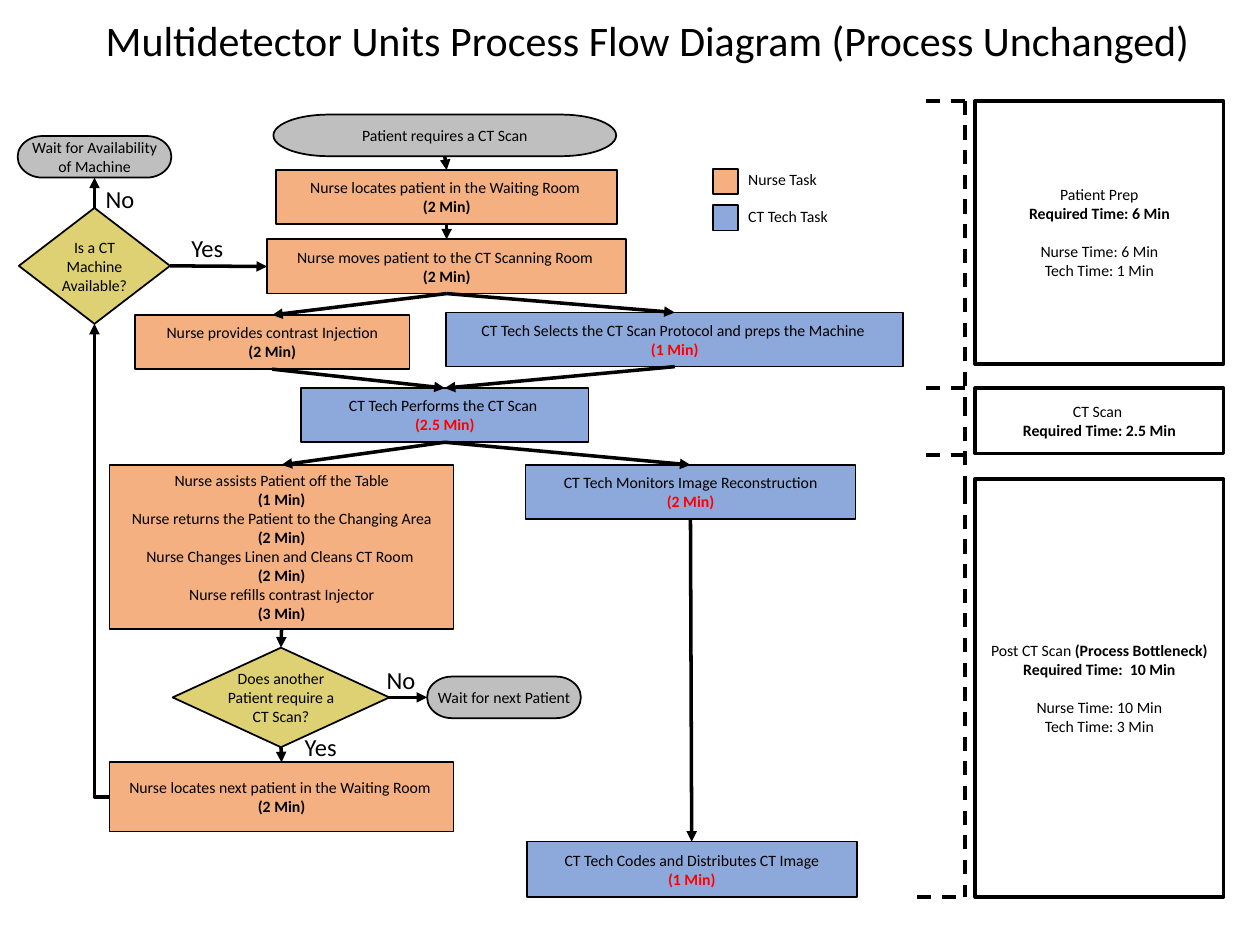
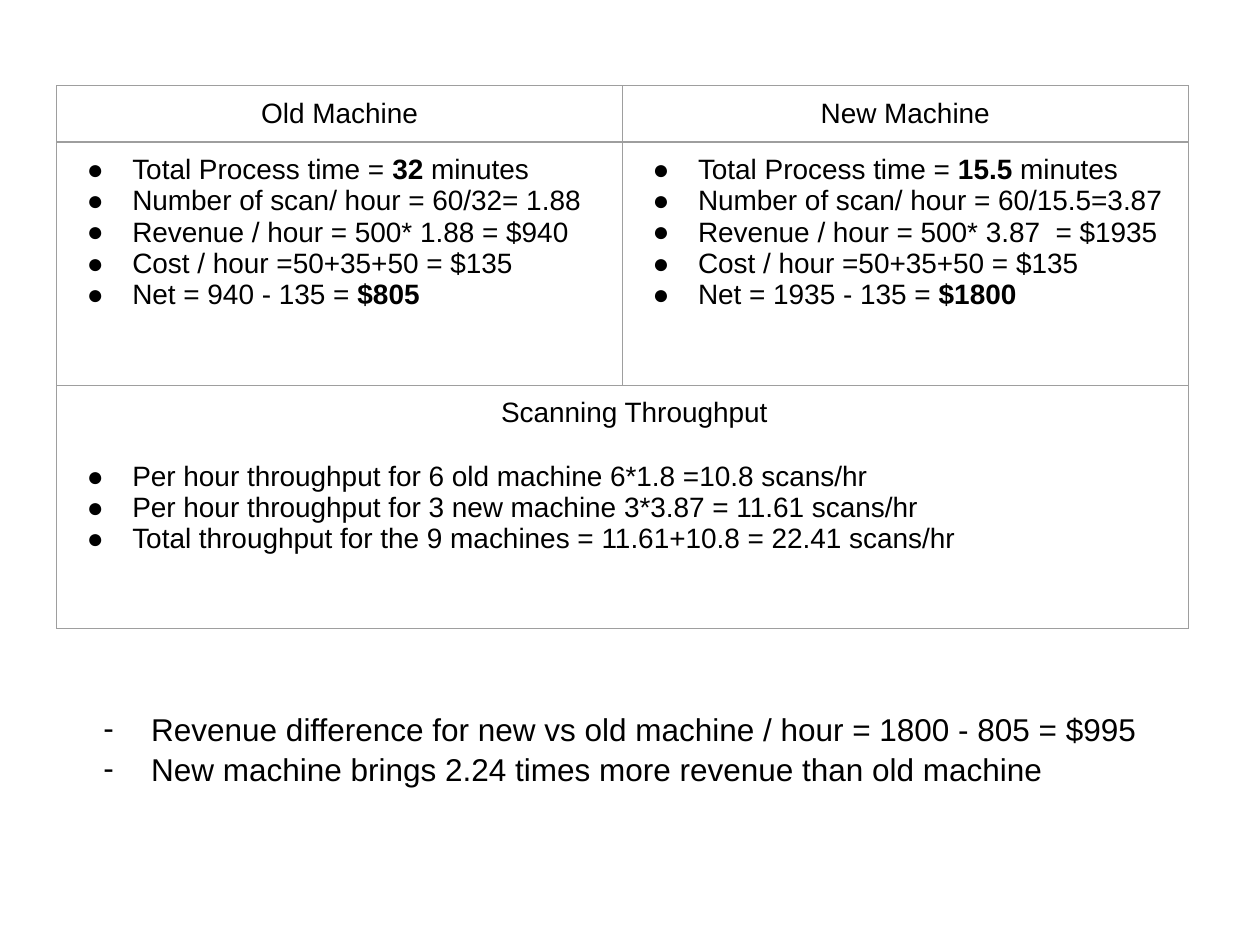
from lxml import etree
from pptx import Presentation
from pptx.dml.color import RGBColor
from pptx.enum.dml import MSO_LINE
from pptx.enum.shapes import MSO_CONNECTOR, MSO_SHAPE
from pptx.enum.text import MSO_ANCHOR, MSO_AUTO_SIZE, PP_ALIGN
from pptx.oxml.ns import qn
from pptx.util import Inches, Pt

RECT = MSO_SHAPE.RECTANGLE
DIAMOND = MSO_SHAPE.DIAMOND
TERMINATOR = MSO_SHAPE.FLOWCHART_TERMINATOR
STRAIGHT = MSO_CONNECTOR.STRAIGHT
ELBOW = MSO_CONNECTOR.ELBOW
DASH = MSO_LINE.DASH
MIDDLE = MSO_ANCHOR.MIDDLE
TOP_ANCHOR = MSO_ANCHOR.TOP
NO_AUTOFIT = MSO_AUTO_SIZE.NONE
LEFT_ALIGN = PP_ALIGN.LEFT
CENTER = PP_ALIGN.CENTER

TOP, LEFT, BOTTOM, RIGHT = range(4)
BLACK, RED, GRID = "000000", "FF0000", "9E9E9E"
NURSE, TECH, DECISION, WAIT = "F4B081", "8DA9DB", "DDD173", "BFBFBF"
FLOW_FONT, TABLE_FONT = "Calibri", "Arial"
STEP_SIZE, ANSWER_SIZE, TITLE_SIZE, CELL_SIZE, SUMMARY_SIZE = 9, 14, 24, 16, 18


def rgb(code):
    return RGBColor.from_string(code)


def inches(*lengths):
    return [Inches(length) for length in lengths]


def add_text(paragraph, text, size, font=FLOW_FONT, bold=False, color=BLACK):
    run = paragraph.add_run()
    run.text = text
    run.font.size = Pt(size)
    run.font.name = font
    run.font.bold = bold
    run.font.color.rgb = rgb(color)


def set_margins(owner, side, vertical):
    owner.margin_left = owner.margin_right = Inches(side)
    owner.margin_top = owner.margin_bottom = Inches(vertical)


def next_paragraph(frame, index, align=CENTER):
    paragraph = frame.add_paragraph() if index else frame.paragraphs[0]
    paragraph.alignment = align
    return paragraph


def add_bullet(paragraph, mark, hanging):
    props = paragraph._p.get_or_add_pPr()
    props.set("marL", str(Inches(0.5)))
    props.set("indent", str(-Inches(hanging)))
    color = etree.SubElement(props, qn("a:buClr"))
    etree.SubElement(color, qn("a:srgbClr"), val=BLACK)
    etree.SubElement(props, qn("a:buFont"), typeface=TABLE_FONT)
    etree.SubElement(props, qn("a:buChar"), char=mark)


def add_block(slide, kind, box, fill=None, weight=1):
    block = slide.shapes.add_shape(kind, *inches(*box))
    block.shadow.inherit = False
    if fill:
        block.fill.solid()
        block.fill.fore_color.rgb = rgb(fill)
    else:
        block.fill.background()
    block.line.color.rgb = rgb(BLACK)
    block.line.width = Pt(weight)
    frame = block.text_frame
    frame.word_wrap = True
    frame.vertical_anchor = MIDDLE
    set_margins(frame, 0, 0)
    return block


def add_task(slide, box, role, *steps):
    task = add_block(slide, RECT, box, role)
    minutes_color = RED if role == TECH else BLACK
    for index, (step, minutes) in enumerate(steps):
        add_text(next_paragraph(task.text_frame, index), step, STEP_SIZE)
        add_text(next_paragraph(task.text_frame, 1), f"({minutes} Min)",
                 STEP_SIZE, bold=True, color=minutes_color)
    return task


def add_state(slide, kind, box, fill, wording):
    state = add_block(slide, kind, box, fill)
    add_text(next_paragraph(state.text_frame, 0), wording, STEP_SIZE)
    return state


def add_label(slide, box, wording, size):
    frame = slide.shapes.add_textbox(*inches(*box)).text_frame
    frame.word_wrap = True
    add_text(frame.paragraphs[0], wording, size)


def add_line(slide, start, end, route=STRAIGHT):
    line = slide.shapes.add_connector(route, *inches(*start, *end))
    line.line.color.rgb = rgb(BLACK)
    line.line.width = Pt(2)
    etree.SubElement(line._element.spPr, qn("a:effectLst"))
    return line


def add_flow(slide, source, exit_side, target, entry_side, route=STRAIGHT):
    arrow = add_line(slide, (0, 0), (1, 1), route)
    arrow.begin_connect(source, exit_side)
    arrow.end_connect(target, entry_side)
    etree.SubElement(arrow.line._get_or_add_ln(), qn("a:tailEnd"), type="triangle")
    return arrow


def add_phase(slide, top, height, heading, note, required, times):
    phase = add_block(slide, RECT, (7.74, top, 1.97, height), weight=2)
    frame = phase.text_frame
    set_margins(frame, 0.1, 0.05)
    first = next_paragraph(frame, 0)
    add_text(first, heading, STEP_SIZE)
    if note:
        add_text(first, note, STEP_SIZE, bold=True)
    add_text(next_paragraph(frame, 1), required, STEP_SIZE, bold=True)
    for index, time in enumerate(times):
        paragraph = next_paragraph(frame, 1)
        paragraph.space_before = Pt(0 if index else 11)
        add_text(paragraph, time, STEP_SIZE)


def add_title(slide, wording):
    title = slide.shapes.title
    title.left, title.top, title.width, title.height = inches(0.28, 0.11, 9.72, 0.7)
    frame = title.text_frame
    frame.auto_size = NO_AUTOFIT
    frame.vertical_anchor = TOP_ANCHOR
    paragraph = next_paragraph(frame, 0)
    paragraph.line_spacing = 0.9
    add_text(paragraph, wording, TITLE_SIZE)


def add_phases(slide):
    add_phase(slide, 0.8, 2.09, "Patient Prep", "", "Required Time: 6 Min",
              ["Nurse Time: 6 Min", "Tech Time: 1 Min"])
    add_phase(slide, 3.08, 0.52, "CT Scan ", "", "Required Time: 2.5 Min", [])
    add_phase(slide, 3.8, 3.32, "Post CT Scan ", "(Process Bottleneck)",
              "Required Time:  10 Min", ["Nurse Time: 10 Min", "Tech Time: 3 Min"])
    ticks = [((7.35, y), (7.66, y)) for y in (0.8, 3.08, 3.61)]
    ticks.append(((7.28, 7.12), (7.6, 7.12)))
    stops = (0.8, 3.19, 3.89, 7.12)
    spine = [((7.66, upper), (7.66, lower)) for upper, lower in zip(stops, stops[1:])]
    for start, end in ticks + spine:
        add_line(slide, start, end).line.dash_style = DASH


def build_process(slide):
    add_title(slide, "Multidetector Units Process Flow Diagram (Process Unchanged)")

    available = add_state(slide, DIAMOND, (0.15, 1.65, 1.2, 0.92), DECISION,
                          "Is a CT Machine Available?")
    another = add_state(slide, DIAMOND, (1.37, 5.14, 1.72, 0.79), DECISION,
                        "Does another Patient require a CT Scan?")
    request = add_state(slide, TERMINATOR, (2.17, 0.91, 2.72, 0.33), WAIT,
                        "Patient requires a CT Scan")
    wait_machine = add_state(slide, TERMINATOR, (0.14, 1.08, 1.22, 0.33), WAIT,
                             "Wait for Availability of Machine")
    wait_patient = add_state(slide, TERMINATOR, (3.39, 5.37, 1.22, 0.33), WAIT,
                             "Wait for next Patient")

    locate = add_task(slide, (2.19, 1.35, 2.71, 0.43), NURSE,
                      ("Nurse locates patient in the Waiting Room ", 2))
    move = add_task(slide, (2.12, 1.9, 2.85, 0.43), NURSE,
                    ("Nurse moves patient to the CT Scanning Room ", 2))
    inject = add_task(slide, (1.07, 2.5, 2.18, 0.43), NURSE,
                      ("Nurse provides contrast Injection", 2))
    protocol = add_task(slide, (3.54, 2.48, 3.63, 0.43), TECH,
                        ("CT Tech Selects the CT Scan Protocol and preps the Machine ", 1))
    scan = add_task(slide, (2.39, 3.08, 2.28, 0.43), TECH,
                    ("CT Tech Performs the CT Scan ", 2.5))
    turnover = add_task(slide, (0.87, 3.69, 2.73, 1.3), NURSE,
                        ("Nurse assists Patient off the Table", 1),
                        ("Nurse returns the Patient to the Changing Area", 2),
                        ("Nurse Changes Linen and Cleans CT Room ", 2),
                        ("Nurse refills contrast Injector", 3))
    monitor = add_task(slide, (4.17, 3.69, 2.62, 0.43), TECH,
                       ("CT Tech Monitors Image Reconstruction", 2))
    distribute = add_task(slide, (4.18, 6.68, 2.62, 0.44), TECH,
                          ("CT Tech Codes and Distributes CT Image", 1))
    locate_next = add_task(slide, (0.87, 6.05, 2.73, 0.55), NURSE,
                           ("Nurse locates next patient in the Waiting Room ", 2))

    for source, target in [(request, locate), (locate, move), (move, inject),
                           (move, protocol), (inject, scan), (protocol, scan),
                           (scan, turnover), (scan, monitor), (monitor, distribute),
                           (turnover, another), (another, locate_next)]:
        add_flow(slide, source, BOTTOM, target, TOP)
    add_flow(slide, available, RIGHT, move, LEFT)
    add_flow(slide, another, RIGHT, wait_patient, LEFT)
    add_flow(slide, available, TOP, wait_machine, BOTTOM)
    loop = add_flow(slide, locate_next, LEFT, available, BOTTOM, ELBOW)
    loop._element.spPr.find(qn("a:prstGeom")).set("prst", "bentConnector2")

    for left, top, answer in [(0.74, 1.41, "No"), (1.42, 1.8, "Yes"),
                              (2.97, 5.23, "No"), (2.32, 5.76, "Yes")]:
        add_label(slide, (left, top, 0.8, 0.34), answer, ANSWER_SIZE)
    for top, role, meaning in [(1.34, NURSE, "Nurse Task"), (1.63, TECH, "CT Tech Task")]:
        add_block(slide, RECT, (5.66, top, 0.2, 0.2), role)
        add_label(slide, (5.84, top - 0.04, 1.97, 0.25), meaning, STEP_SIZE)
    add_phases(slide)


def style_cell(cell):
    set_margins(cell, 0.1, 0.1)
    props = cell._tc.get_or_add_tcPr()
    for side in ("lnL", "lnR", "lnT", "lnB"):
        border = etree.SubElement(props, qn(f"a:{side}"), w=str(Pt(0.75)))
        fill = etree.SubElement(border, qn("a:solidFill"))
        etree.SubElement(fill, qn("a:srgbClr"), val=GRID)
    cell.fill.background()


def add_facts(cell, facts, offset=0):
    for index, fact in enumerate(facts, offset):
        paragraph = next_paragraph(cell.text_frame, index, LEFT_ALIGN)
        if offset and index == offset:
            paragraph.space_before = Pt(18.4)
        add_bullet(paragraph, "●", 0.36)
        for position, part in enumerate(fact):
            add_text(paragraph, part, CELL_SIZE, TABLE_FONT, bold=position == 1)


def add_heading(cell, wording):
    paragraph = next_paragraph(cell.text_frame, 0)
    add_text(paragraph, wording, CELL_SIZE, TABLE_FONT)
    return paragraph


def add_comparison(slide):
    table = slide.shapes.add_table(3, 2, *inches(0.45, 0.68, 8.98, 4.3)).table
    table.first_row = table.horz_banding = False
    for column in table.columns:
        column.width = Inches(4.49)
    for row, height in zip(table.rows, (0.44, 1.93, 1.93)):
        row.height = Inches(height)
    for cell in table.iter_cells():
        style_cell(cell)
    table.cell(2, 0).merge(table.cell(2, 1))

    machines = [
        ("Old Machine", "32", "60/32= 1.88", "1.88 = $940", "940", "$805"),
        ("New Machine", "15.5", "60/15.5=3.87", "3.87  = $1935", "1935", "$1800"),
    ]
    for column, (name, minutes, scans, revenue, gross, net) in enumerate(machines):
        add_heading(table.cell(0, column), name)
        add_facts(table.cell(1, column), [
            ("Total Process time = ", minutes, " minutes"),
            (f"Number of scan/ hour = {scans}",),
            (f"Revenue / hour = 500* {revenue}",),
            ("Cost / hour =50+35+50 = $135",),
            (f"Net = {gross} - 135 = ", net),
        ])

    throughput = table.cell(2, 0)
    props = add_heading(throughput, "Scanning Throughput ")._p.get_or_add_pPr()
    props.set("marL", str(Inches(0.5)))
    props.set("indent", str(-Inches(0.25)))
    add_facts(throughput, [
        ("Per hour throughput for 6 old machine 6*1.8 =10.8 scans/hr",),
        ("Per hour throughput for 3 new machine 3*3.87 = 11.61 scans/hr",),
        ("Total throughput for the 9 machines = 11.61+10.8 = 22.41 scans/hr",),
    ], offset=1)


def add_summary(slide, findings):
    slide.shapes.title._element.getparent().remove(slide.shapes.title._element)
    summary = slide.placeholders[1]
    summary.left, summary.top, summary.width, summary.height = inches(0.6, 5.52, 8.79, 1.98)
    frame = summary.text_frame
    frame.auto_size = NO_AUTOFIT
    frame.vertical_anchor = TOP_ANCHOR
    set_margins(frame, 0.1, 0.1)
    for index, finding in enumerate(findings):
        paragraph = next_paragraph(frame, index, LEFT_ALIGN)
        paragraph.space_before = Pt(0)
        paragraph.line_spacing = 1.05
        add_bullet(paragraph, "-", 0.38)
        add_text(paragraph, finding, SUMMARY_SIZE, TABLE_FONT)


def main():
    deck = Presentation()
    deck.slide_width, deck.slide_height = inches(10, 7.5)
    build_process(deck.slides.add_slide(deck.slide_layouts[5]))
    economics = deck.slides.add_slide(deck.slide_layouts[1])
    add_comparison(economics)
    add_summary(economics, [
        "Revenue difference for new vs old machine / hour = 1800 - 805 = $995",
        "New machine brings 2.24 times more revenue than old machine",
    ])
    deck.save("out.pptx")


if __name__ == "__main__":
    main()
